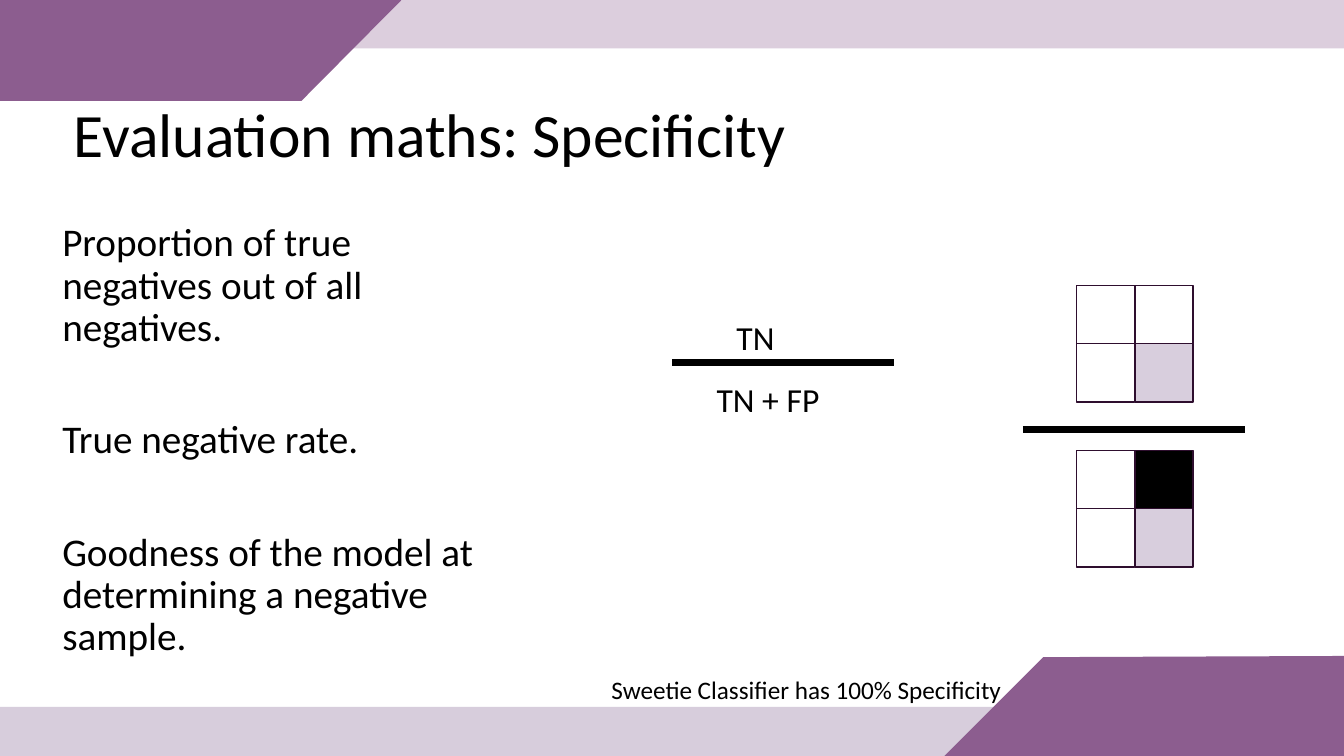
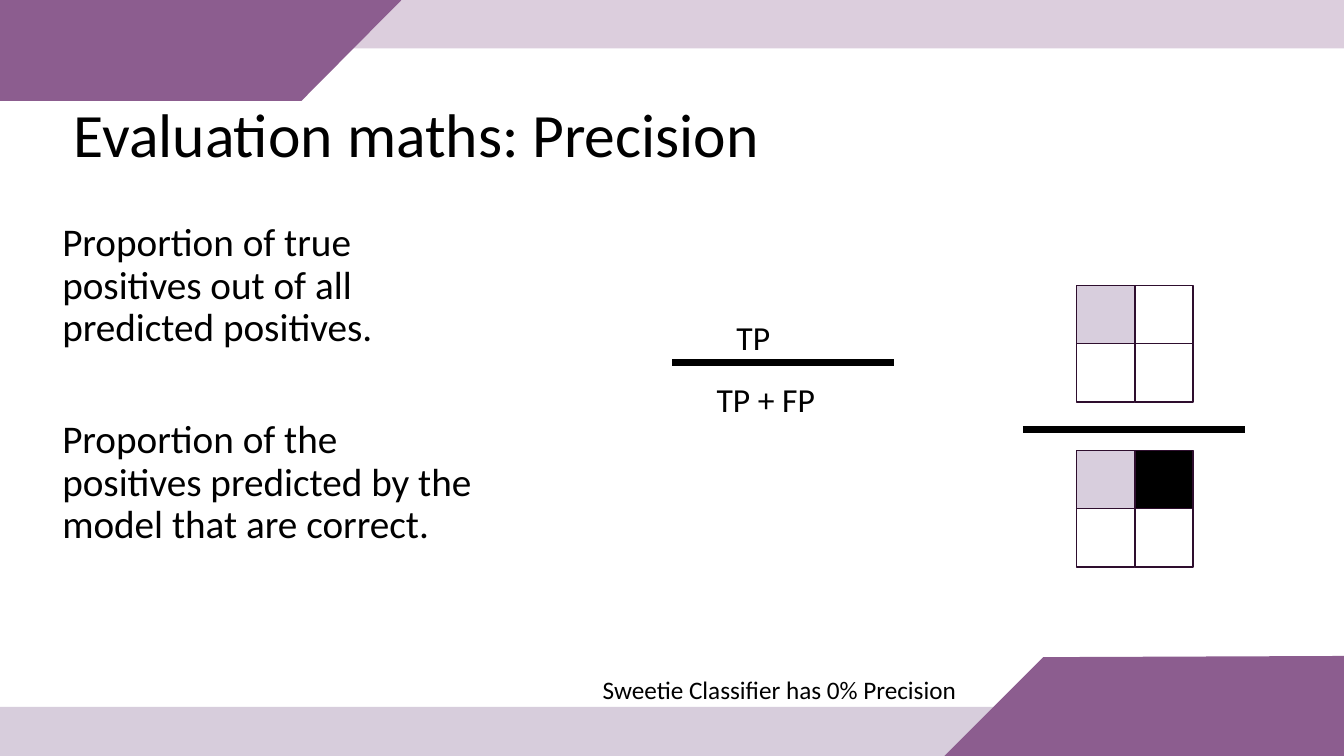
import dataclasses
import typing

import lxml.etree
import pptx
import pptx.dml.color
import pptx.enum.shapes
import pptx.enum.text
import pptx.oxml.ns
import pptx.shapes.autoshape
import pptx.slide
import pptx.text.text
import pptx.util

Cm = pptx.util.Cm
Pt = pptx.util.Pt
RGBColor = pptx.dml.color.RGBColor
Slide = pptx.slide.Slide
qn = pptx.oxml.ns.qn

# Shared look
BLACK = RGBColor(0x00, 0x00, 0x00)
PLUM = RGBColor(0x8C, 0x5D, 0x8F)
GRAPE = RGBColor(0x7C, 0x5A, 0x8E)
PALE = RGBColor(0xD8, 0xCE, 0xDD)
EDGE = RGBColor(0x2E, 0x0E, 0x2E)
FONT = "Calibri"
WIDE, HIGH = 33.87, 19.05

# Cell marks: "." stays empty
FILLS = {"p": PALE, "b": BLACK}
SIDE = 1.47
GRID_X = 27.13
GRID_TOPS = (7.19, 11.35)


@dataclasses.dataclass
class Label:
    text: str
    left: float
    top: float
    width: float
    size: int = 24


@dataclasses.dataclass
class Band:
    left: float
    top: float
    width: float
    height: float
    color: RGBColor


@dataclasses.dataclass
class Page:
    title: str
    points: list[str]
    labels: list[Label]
    grids: tuple[str, str]  # cells row by row, above and below the bar


BANDS = [
    Band(3.23, 0, 30.64, 1.22, PLUM),
    Band(0, 17.81, 27.51, 1.24, GRAPE),
]
CORNERS = [
    [(0, 0), (10.12, 0), (7.6, 2.54), (0, 2.54)],
    [(WIDE, HIGH), (23.8, HIGH), (26.29, 16.56), (WIDE, 16.53)],
]
BARS = [(16.94, 9.14), (25.78, 10.82)]
BAR_WIDTH = 5.59

PAGES = [
    Page(
        "Evaluation maths: Specificity",
        ["Proportion of true negatives out of all negatives.",
         "True negative rate.",
         "Goodness of the model at determining a negative sample."],
        [Label("TN", 18.31, 7.87, 1.47),
         Label("TN + FP", 17.81, 9.42, 3.12),
         Label("Sweetie Classifier has 100% Specificity", 15.16, 16.87, 10.46, 18)],
        ("...p", ".b.p"),
    ),
    Page(
        "Evaluation maths: Precision",
        ["Proportion of true positives out of all predicted positives.",
         "Proportion of the positives predicted by the model that are correct."],
        [Label("TP", 18.31, 7.87, 1.37),
         Label("TP + FP", 17.81, 9.42, 3.02),
         Label("Sweetie Classifier has 0% Precision", 14.94, 16.87, 9.53, 18)],
        ("p...", "pb.."),
    ),
]


def style(para: pptx.text.text._Paragraph, size: int) -> None:
    para.alignment = pptx.enum.text.PP_ALIGN.LEFT
    for run in para.runs:
        run.font.name = FONT
        run.font.size = Pt(size)
        run.font.color.rgb = BLACK


def add_box(slide: Slide, left: float, top: float, width: float,
            height: float) -> pptx.shapes.autoshape.Shape:
    box = slide.shapes.add_shape(
        pptx.enum.shapes.MSO_SHAPE.RECTANGLE,
        Cm(left), Cm(top), Cm(width), Cm(height))
    box.shadow.inherit = False
    return box


def add_frame(slide: Slide) -> None:
    # Pale bands
    for band in BANDS:
        box = add_box(slide, band.left, band.top, band.width, band.height)
        box.fill.solid()
        box.fill.fore_color.rgb = band.color
        tint = box._element.spPr.find(qn("a:solidFill"))[0]
        lxml.etree.SubElement(tint, qn("a:alpha"), val="30000")
        box.line.fill.background()
    # Slanted corners
    for corner in CORNERS:
        first, *rest = [(Cm(x), Cm(y)) for x, y in corner]
        pen = slide.shapes.build_freeform(*first)
        pen.add_line_segments(rest, close=True)
        shape = pen.convert_to_shape()
        shape.shadow.inherit = False
        shape.fill.solid()
        shape.fill.fore_color.rgb = PLUM
        shape.line.fill.background()


def set_title(slide: Slide, text: str) -> None:
    title = slide.shapes.title
    title.left, title.top = Cm(1.6), Cm(2.59)
    title.width, title.height = Cm(30.66), Cm(1.75)
    frame = title.text_frame
    frame.text = text
    frame.auto_size = pptx.enum.text.MSO_AUTO_SIZE.NONE
    frame.vertical_anchor = pptx.enum.text.MSO_ANCHOR.MIDDLE
    frame.paragraphs[0].line_spacing = 0.9
    style(frame.paragraphs[0], 44)


def add_points(slide: Slide, points: list[str]) -> None:
    box = slide.shapes.add_textbox(Cm(1.32), Cm(5.49), Cm(11), Cm(12.8))
    frame = box.text_frame
    frame.word_wrap = True
    frame.text = "\n".join(points)
    for rank, para in enumerate(frame.paragraphs):
        para.line_spacing = 0.9
        para.space_before = Pt(50 if rank else 0)
        style(para, 28)


def add_label(slide: Slide, label: Label) -> None:
    height = 1.28 if label.size == 24 else 1.03
    box = slide.shapes.add_textbox(
        Cm(label.left), Cm(label.top), Cm(label.width), Cm(height))
    frame = box.text_frame
    frame.word_wrap = False
    frame.auto_size = pptx.enum.text.MSO_AUTO_SIZE.SHAPE_TO_FIT_TEXT
    frame.text = label.text
    style(frame.paragraphs[0], label.size)


def add_grid(slide: Slide, top: float, marks: str) -> None:
    for spot, mark in enumerate(marks):
        row, col = divmod(spot, 2)
        cell = add_box(slide, GRID_X + col * SIDE, top + row * SIDE, SIDE, SIDE)
        if mark in FILLS:
            cell.fill.solid()
            cell.fill.fore_color.rgb = FILLS[mark]
        else:
            cell.fill.background()
        cell.line.color.rgb = EDGE
        cell.line.width = Pt(1)


def add_bar(slide: Slide, left: float, top: float) -> None:
    bar = slide.shapes.add_connector(
        pptx.enum.shapes.MSO_CONNECTOR.STRAIGHT,
        Cm(left), Cm(top), Cm(left + BAR_WIDTH), Cm(top))
    bar.line.color.rgb = BLACK
    bar.line.width = Pt(5)
    lxml.etree.SubElement(bar._element.spPr, qn("a:effectLst"))


def add_page(deck: typing.Any, page: Page) -> None:
    slide = deck.slides.add_slide(deck.slide_layouts[5])
    add_frame(slide)
    set_title(slide, page.title)
    add_points(slide, page.points)
    # Fractions in words and in cells
    for top, marks in zip(GRID_TOPS, page.grids):
        add_grid(slide, top, marks)
    for left, top in BARS:
        add_bar(slide, left, top)
    for label in page.labels:
        add_label(slide, label)


def main() -> None:
    deck = pptx.Presentation()
    deck.slide_width, deck.slide_height = Cm(WIDE), Cm(HIGH)
    for page in PAGES:
        add_page(deck, page)
    deck.save("out.pptx")


if __name__ == "__main__":
    main()
